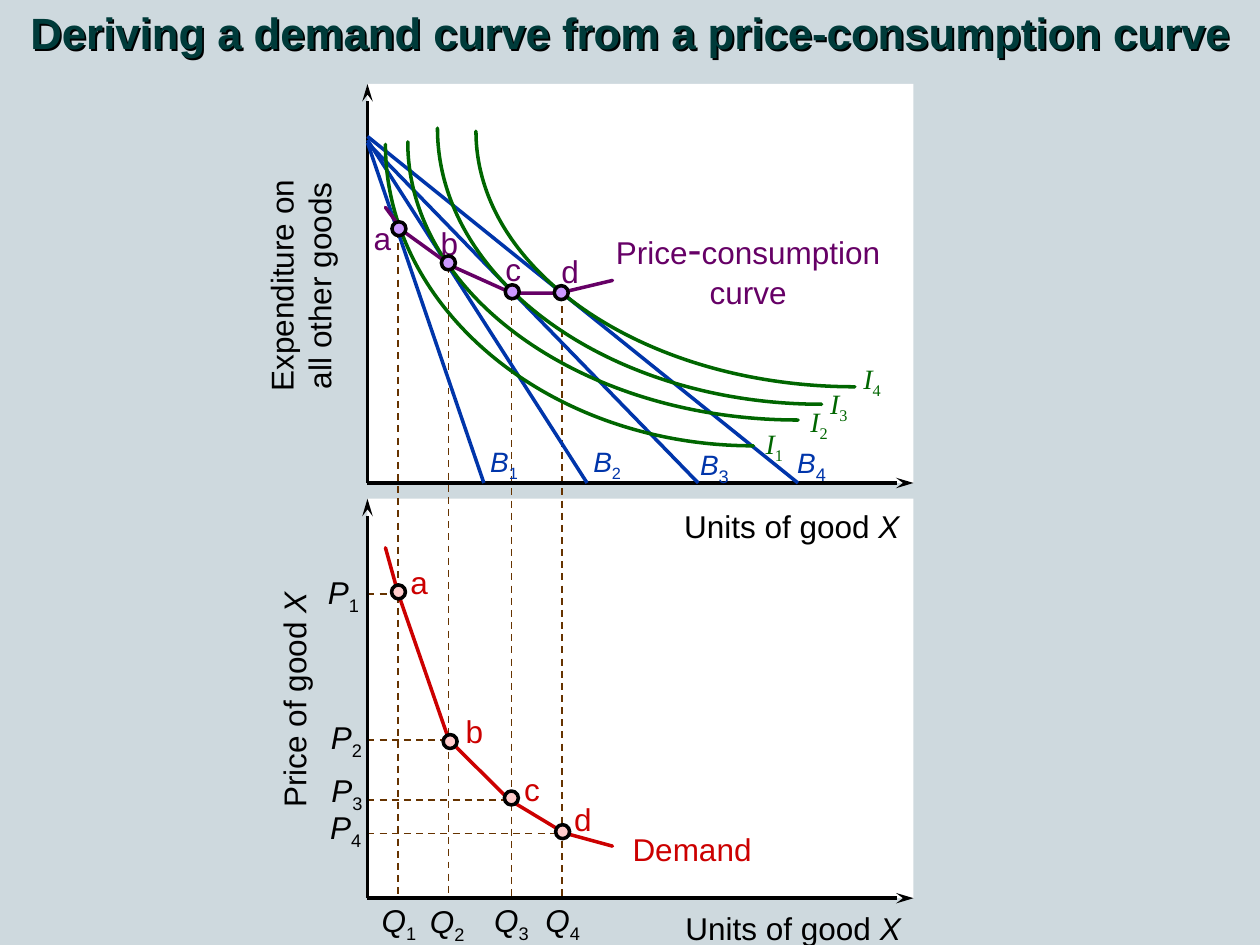
from lxml.etree import SubElement
from pptx import Presentation
from pptx.dml.color import RGBColor
from pptx.enum.dml import MSO_LINE
from pptx.enum.shapes import MSO_CONNECTOR, MSO_SHAPE
from pptx.enum.text import MSO_AUTO_SIZE, PP_ALIGN
from pptx.oxml.ns import qn
from pptx.util import Pt

COLORS = {
    "background": "CED9DE", "panel": "FFFFFF", "ink": "000000", "title": "003B3A",
    "budget": "0035AA", "indifference": "006600", "consumption": "660066",
    "demand": "CC0000", "guide": "663300", "upper dot": "CC99FF", "lower dot": "FFCCCC",
}
LEFT, RIGHT = 210, 522
PANELS = [(48, 276), (285, 513.25)]
DOT = 8
ROUNDNESS = 0.55

TITLE = "Deriving a demand curve from a price-consumption curve"
BUDGETS = [
    (81.5, 276.5, (273, 250.75), 16),
    (80, 335.5, (332, 250.75), 16),
    (81.5, 399, (393, 250), 18),
    (78, 456, (448.5, 249), 18),
]
INDIFFERENCE = [
    ((220.25, 82.5, 210.25, 172.25), (430.5, 240)),
    ((233, 81, 223, 159), (456, 227.75)),
    ((250, 73.25, 219.5, 157.75), (467.25, 217.5)),
    ((272, 75, 216.5, 146), (486.25, 203.25)),
]
CONSUMPTION_PATH = [(220.25, 118.5), (230.25, 132), (258, 152), (292.5, 167.5), (319.5, 167.5), (350, 160.25)]
DEMAND_PATH = [(220.25, 313), (227.5, 339), (256.5, 422.75), (291, 457), (322.5, 476), (350, 483.5)]
GUIDES = [(227.5, 132, 339.25), (256.25, 152, 422.75), (292.25, 168, 457.25), (321, 168, 476.25)]
UPPER_DOTS = [(228, 130.75), (256.25, 150.25), (292.75, 166.75), (320.75, 167.25)]
LOWER_DOTS = [(227.75, 338.25), (257.25, 423.75), (292.25, 456), (321.5, 475.25)]
UPPER_NAMES = [(206.5, 121.5), (244.75, 124.25), (281.75, 139.25), (313.75, 140.25)]
LOWER_NAMES = [(227.5, 318), (259, 403.25), (292.5, 436.5), (321, 453.5)]
PRICES = [(180.25, 324), (182, 406.75), (182.25, 437), (181.5, 458)]
QUANTITIES = [(211, 511.25), (238.5, 512), (275.25, 511.25), (304.5, 511.25)]
GOOD = [("Units of good ", ""), ("X", "italic")]
CAPTIONS = [
    ((101.5, 138, 140, 50.5), [[("Expenditure on", "")], [("all other goods", "")]], "ink", 270),
    ((99, 385.5, 138, 29), [[("Price of good ", ""), ("X", "italic")]], "ink", 270),
    ((383.5, 286.25, 138, 29), [GOOD], "ink", 0),
    ((384.25, 516, 138, 29), [GOOD], "ink", 0),
    ((344.75, 123.5, 165.5, 57.5),
     [[("Price", ""), ("-", "", 24), ("consumption", "")], [("curve", "")]], "consumption", 0),
    ((354, 471, 83, 29), [[("Demand", "")]], "demand", 0),
]


def color(name):
    return RGBColor.from_string(COLORS[name])


def add_line(page, start, end, name, width=2, dashed=False, arrow=None):
    line = page.shapes.add_connector(MSO_CONNECTOR.STRAIGHT, *map(Pt, start + end))
    line.line.color.rgb = color(name)
    line.line.width = Pt(width)
    if dashed:
        line.line.dash_style = MSO_LINE.DASH
    properties = line._element.spPr
    if arrow:
        SubElement(properties.find(qn("a:ln")), qn(arrow), type="stealth", w="med", len="lg")
    SubElement(properties, qn("a:effectLst"))


def add_path(page, points, name):
    points = [(Pt(x), Pt(y)) for x, y in points]
    builder = page.shapes.build_freeform(*points[0], scale=1.0)
    builder.add_line_segments(points[1:], close=False)
    shape = builder.convert_to_shape()
    shape.fill.background()
    shape.line.color.rgb = color(name)
    shape.line.width = Pt(2)
    shape.line._ln.set("cap", "rnd")
    shape.shadow.inherit = False
    return shape


def add_quarter_ellipse(page, place, name):
    left, top, width, height = place
    right, bottom = left + width, top + height
    shape = add_path(page, [
        (right, bottom), (right - ROUNDNESS * width, bottom),
        (left, top + ROUNDNESS * height), (left, top),
    ], name)
    segments = list(shape._element.iter(qn("a:lnTo")))
    outline = segments[0].getparent()
    curve = SubElement(outline, qn("a:cubicBezTo"))
    for segment in segments:
        curve.append(segment[0])
        outline.remove(segment)


def add_shape(page, kind, place, fill, outline=None):
    shape = page.shapes.add_shape(kind, *map(Pt, place))
    shape.shadow.inherit = False
    shape.fill.solid()
    shape.fill.fore_color.rgb = color(fill)
    if outline:
        shape.line.color.rgb = color(outline)
        shape.line.width = Pt(2)
    else:
        shape.line.fill.background()


def add_text(page, place, paragraphs, name, size=18, font="Arial", align=PP_ALIGN.LEFT, wrap=False):
    box = page.shapes.add_textbox(*map(Pt, place))
    frame = box.text_frame
    frame.word_wrap = wrap
    frame.auto_size = MSO_AUTO_SIZE.SHAPE_TO_FIT_TEXT
    for index, spans in enumerate(paragraphs):
        paragraph = frame.add_paragraph() if index else frame.paragraphs[0]
        paragraph.alignment = align
        for text, style, *own_size in spans:
            span = paragraph.add_run()
            span.text = text
            span.font.name = font
            span.font.size = Pt(own_size[0] if own_size else size)
            span.font.color.rgb = color(name)
            span.font.italic = style == "italic"
            span.font.bold = style == "bold"
            if style == "subscript":
                span.font._element.set("baseline", "-25000")
    return box


def add_symbol(page, spot, width, letter, number, name, size=18, low_size=18, font="Arial"):
    spans = [(letter, "italic"), (str(number), "subscript", low_size)]
    add_text(page, (*spot, width, 30), [spans], name, size, font)


def add_title(page):
    box = add_text(page, (0, 0, 720, 37.5), [[(TITLE, "bold")]], "title", 25,
                   align=PP_ALIGN.CENTER, wrap=True)
    effects = SubElement(box._element.spPr, qn("a:effectLst"))
    shadow = SubElement(effects, qn("a:outerShdw"), dist=str(Pt(1.5)), dir="2700000")
    SubElement(shadow, qn("a:srgbClr"), val=COLORS["ink"])


def main():
    deck = Presentation()
    deck.slide_width, deck.slide_height = Pt(720), Pt(540)
    page = deck.slides.add_slide(deck.slide_layouts[6])
    page.background.fill.solid()
    page.background.fill.fore_color.rgb = color("background")

    for top, bottom in PANELS:
        add_shape(page, MSO_SHAPE.RECTANGLE, (LEFT, top, RIGHT - LEFT, bottom - top), "panel")
    for x, top, price in GUIDES:
        add_line(page, (x, top), (x, PANELS[1][1]), "guide", 1, dashed=True)
        add_line(page, (LEFT, price), (x, price), "guide", 1, dashed=True)
    for top, bottom in PANELS:
        add_line(page, (LEFT, top), (LEFT, bottom), "ink", arrow="a:headEnd")
        add_line(page, (LEFT, bottom), (RIGHT, bottom), "ink", arrow="a:tailEnd")

    for number, (start, foot, spot, low_size) in enumerate(BUDGETS, 1):
        add_line(page, (LEFT, start), (foot, PANELS[0][1]), "budget")
        add_symbol(page, spot, 33, "B", number, "budget", 16, low_size)
    for number, (place, spot) in enumerate(INDIFFERENCE, 1):
        add_quarter_ellipse(page, place, "indifference")
        add_symbol(page, spot, 24.5, "I", number, "indifference", 16, 16, "Times New Roman")
    for number, (price, quantity) in enumerate(zip(PRICES, QUANTITIES), 1):
        add_symbol(page, price, 32.5, "P", number, "ink")
        add_symbol(page, quantity, 34.5, "Q", number, "ink")

    for path, dots, names, name, fill in (
        (CONSUMPTION_PATH, UPPER_DOTS, UPPER_NAMES, "consumption", "upper dot"),
        (DEMAND_PATH, LOWER_DOTS, LOWER_NAMES, "demand", "lower dot"),
    ):
        add_path(page, path, name)
        for letter, (x, y), spot in zip("abcd", dots, names):
            add_text(page, (*spot, 24.5, 29), [[(letter, "")]], name)
            add_shape(page, MSO_SHAPE.OVAL, (x - DOT / 2, y - DOT / 2, DOT, DOT), fill, "ink")

    for place, paragraphs, name, rotation in CAPTIONS:
        box = add_text(page, place, paragraphs, name, align=PP_ALIGN.CENTER)
        box.rotation = rotation
    add_title(page)
    deck.save("out.pptx")


if __name__ == "__main__":
    main()
